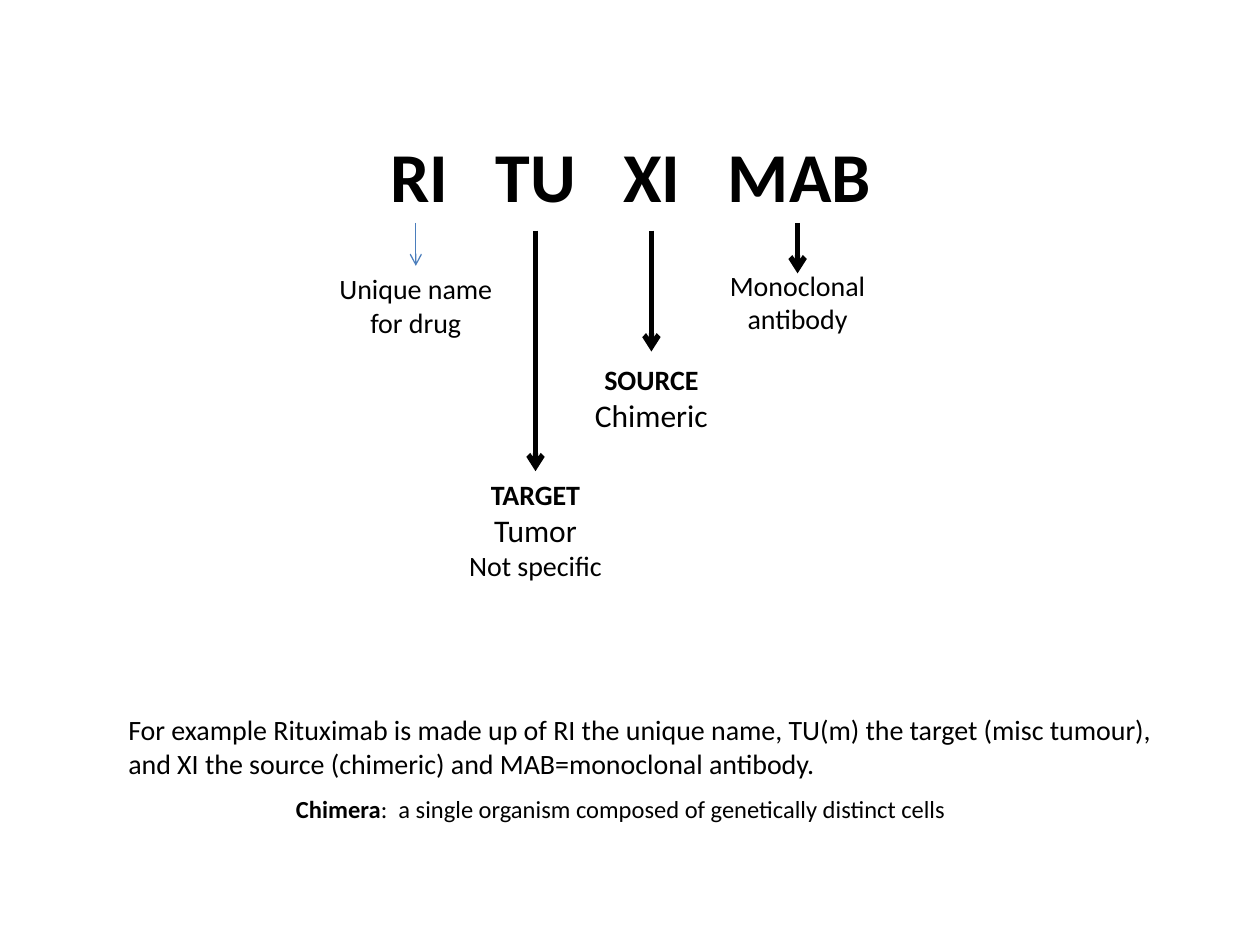
from dataclasses import dataclass
from typing import NamedTuple

from lxml import etree
from pptx import Presentation
from pptx import util as u
from pptx.dml.color import RGBColor
from pptx.enum import shapes, text
from pptx.oxml.ns import qn


@dataclass(frozen=True)
class Theme:
    font: str = "Calibri"
    ink: RGBColor = RGBColor(0x00, 0x00, 0x00)
    accent: RGBColor = RGBColor(0x4B, 0x7E, 0xBC)
    title: int = 40
    large: int = 18
    body: int = 16
    small: int = 14
    thick: float = 3
    thin: float = 0.75


THEME = Theme()
LEFT, CENTER = text.PP_ALIGN.LEFT, text.PP_ALIGN.CENTER


class Run(NamedTuple):
    text: str
    size: int = THEME.body
    bold: bool = False


class Label(NamedTuple):
    left: float
    top: float
    width: float
    height: float
    paragraphs: list[list[Run]]
    align: text.PP_ALIGN = CENTER


class Arrow(NamedTuple):
    """A vertical arrow pointing down."""
    x: float
    top: float
    bottom: float
    color: RGBColor = THEME.ink
    weight: float = THEME.thick


LABELS = [
    Label(3, 1, 4.08, 0.77, [[Run("RI   TU   XI   MAB", THEME.title, True)]], LEFT),
    Label(2.51, 2.11, 1.58, 0.64, [[Run("Unique name for drug")]]),
    Label(3.5, 3.74, 1.5, 0.98, [[Run("TARGET", bold=True)],
                                 [Run("Tumor", THEME.large)],
                                 [Run("Not specific")]]),
    Label(4.42, 2.83, 1.5, 0.67, [[Run("SOURCE", bold=True)],
                                  [Run("Chimeric", THEME.large)]]),
    Label(5.58, 2.08, 1.5, 0.64, [[Run("Monoclonal antibody")]]),
    Label(0.92, 5.61, 8.5, 0.64, [[Run(
        "For example Rituximab is made up of RI the unique name, TU(m) the target "
        "(misc tumour), and XI the source (chimeric) and MAB=monoclonal antibody.")]], LEFT),
    Label(2.25, 6.25, 5.42, 0.34, [[
        Run("Chimera", THEME.small, True),
        Run(":  a single organism composed of genetically distinct cells", THEME.small)]], LEFT),
]

ARROWS = [
    Arrow(3.3, 1.77, 2.11, THEME.accent, THEME.thin),
    Arrow(4.25, 1.83, 3.74),
    Arrow(5.17, 1.83, 2.79),
    Arrow(6.33, 1.77, 2.17),
]


def add_label(s, label: Label) -> None:
    box = (label.left, label.top, label.width, label.height)
    tf = s.shapes.add_textbox(*map(u.Inches, box)).text_frame
    tf.word_wrap = True
    tf.auto_size = text.MSO_AUTO_SIZE.SHAPE_TO_FIT_TEXT
    for i, runs in enumerate(label.paragraphs):
        p = tf.add_paragraph() if i else tf.paragraphs[0]
        p.alignment = label.align
        for run in runs:
            r = p.add_run()
            r.text = run.text
            style = {"name": THEME.font, "size": u.Pt(run.size), "bold": run.bold}
            for name, value in style.items():
                setattr(r.font, name, value)
            r.font.color.rgb = THEME.ink


def add_arrow(s, arrow: Arrow) -> None:
    ends = (arrow.x, arrow.top, arrow.x, arrow.bottom)
    sp = s.shapes.add_connector(shapes.MSO_CONNECTOR.STRAIGHT, *map(u.Inches, ends))
    sp.line.color.rgb = arrow.color
    sp.line.width = u.Pt(arrow.weight)
    etree.SubElement(sp.line._get_or_add_ln(), qn("a:tailEnd"), type="arrow")
    etree.SubElement(sp._element.spPr, qn("a:effectLst"))


def main() -> None:
    prs = Presentation()
    prs.slide_width, prs.slide_height = u.Inches(10), u.Inches(7.5)
    s = prs.slides.add_slide(prs.slide_layouts[6])
    for arrow in ARROWS:
        add_arrow(s, arrow)
    for label in LABELS:
        add_label(s, label)
    prs.save("out.pptx")


if __name__ == "__main__":
    main()
